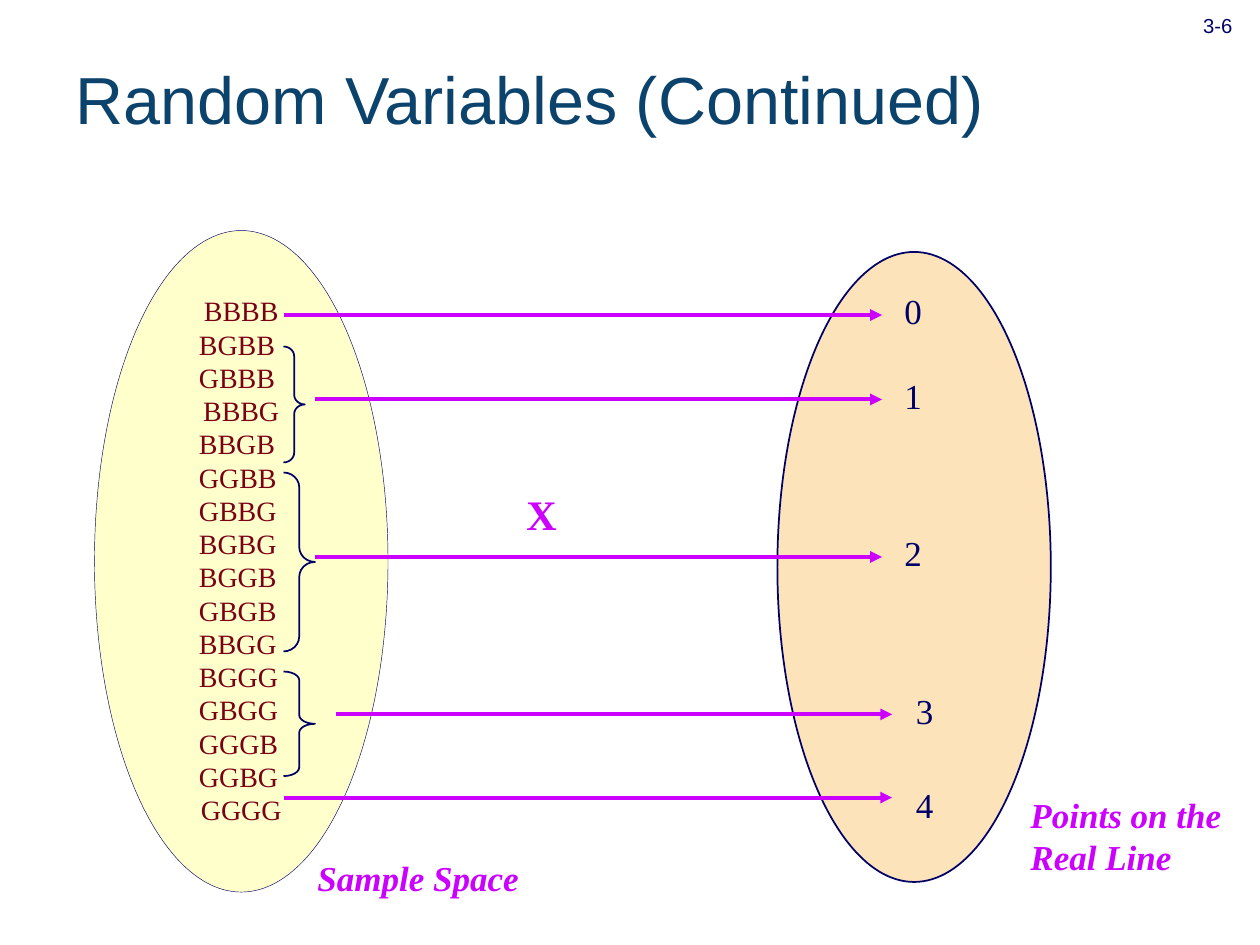
from lxml import etree
from pptx import Presentation
from pptx import util as u
from pptx.dml.color import RGBColor
from pptx.enum import shapes, text
from pptx.oxml import ns

COLORS = {
    "title": "0C436C", "navy": "000066", "magenta": "CC00FF",
    "maroon": "790015", "cream": "FFFFCC", "peach": "FDE3BA",
}
SERIF, SANS = "Times New Roman", "Arial"

deck = Presentation()
deck.slide_width, deck.slide_height = u.Inches(10), u.Inches(7.5)
page = deck.slides.add_slide(deck.slide_layouts[6])


def write(para, words, color, **formats):
    span = para.add_run()
    span.text = words
    span.font.color.rgb = RGBColor.from_string(COLORS[color])
    for name, value in formats.items():
        setattr(span.font, name, value)
    return span


def add_outlined(kind, place, line_width, fill=None):
    shape = page.shapes.add_shape(kind, *map(u.Inches, place))
    shape.shadow.inherit = False
    shape.line.color.rgb = RGBColor.from_string(COLORS["navy"])
    shape.line.width = u.Pt(line_width)
    if fill:
        shape.fill.solid()
        shape.fill.fore_color.rgb = RGBColor.from_string(COLORS[fill])
    else:
        shape.fill.background()
    return shape


# Sample space and real line ovals
oval = shapes.MSO_SHAPE.OVAL
sample_space = add_outlined(oval, (0.75, 1.83, 2.33, 5.25), 0.25, "cream")
add_outlined(oval, (6.17, 2, 2.17, 5), 1, "peach")

# Outcomes: three are centred, the rest share a left edge
outcomes = ("BBBB BGBB GBBB BBBG BBGB GGBB GBBG BGBG "
            "BGGB GBGB BBGG BGGG GBGG GGGB GGBG GGGG").split()
frame = sample_space.text_frame
frame.word_wrap = True
frame.vertical_anchor = text.MSO_ANCHOR.MIDDLE
for index, outcome in enumerate(outcomes):
    para = frame.paragraphs[0] if index == 0 else frame.add_paragraph()
    para.line_spacing = 0.99
    if outcome in ("BBBB", "BBBG", "GGGG"):
        para.alignment = text.PP_ALIGN.CENTER
    else:
        para.alignment = text.PP_ALIGN.LEFT
        para._p.get_or_add_pPr().set("marL", str(u.Inches(0.39)))
    write(para, outcome, "maroon", size=u.Pt(16), name=SERIF)

# Braces group the outcomes that share a value: top, width, height
for top, width, height in [(2.75, 0.17, 0.92), (3.75, 0.25, 1.42), (5.33, 0.25, 0.83)]:
    brace = add_outlined(shapes.MSO_SHAPE.RIGHT_BRACE, (2.25, top, width, height), 1)
    brace.adjustments[0] = height / 12 / width

# Mapping arrows: start x, end x, y
for start, end, y in [(2.25, 7, 2.5), (2.5, 7, 3.17), (2.5, 7, 4.42),
                      (2.67, 7.08, 5.67), (2.25, 7.08, 6.33)]:
    arrow = page.shapes.add_connector(
        shapes.MSO_CONNECTOR.STRAIGHT, *map(u.Inches, (start, y, end, y)))
    arrow.line.color.rgb = RGBColor.from_string(COLORS["magenta"])
    arrow.line.width = u.Pt(2.25)
    head = etree.SubElement(arrow.line._get_or_add_ln(), ns.qn("a:tailEnd"))
    head.set("type", "triangle")
    etree.SubElement(arrow._element.spPr, ns.qn("a:effectLst"))

# Title, values and labels: words, place, color, font formats
value = {"size": u.Pt(20), "name": SERIF}
label = {**value, "bold": True, "italic": True}
texts = [
    ("Random Variables (Continued)", (0.5, 0.15, 9.27, 1.25), "title",
     {"size": u.Pt(38), "name": SANS}),
    ("0", (7.08, 2.25, 0.67, 0.44), "navy", value),
    ("1", (7.08, 2.92, 0.5, 0.44), "navy", value),
    ("2", (7.08, 4.17, 0.5, 0.44), "navy", value),
    ("3", (7.17, 5.42, 0.42, 0.44), "navy", value),
    ("4", (7.17, 6.17, 0.42, 0.44), "navy", value),
    ("X", (4.08, 3.83, 0.75, 0.5), "magenta",
     {"size": u.Pt(24), "name": SERIF, "bold": True}),
    ("Sample Space", (2.42, 6.75, 1.83, 0.44), "magenta", label),
    ("Points on the Real Line", (8.08, 6.25, 1.92, 0.77), "magenta", label),
    ("3-6", (9.29, -0.13, 0.75, 0.48), "navy", {"size": u.Pt(20), "name": SANS}),
]
for words, place, color, formats in texts:
    box = page.shapes.add_textbox(*map(u.Inches, place))
    box.text_frame.word_wrap = True
    para = box.text_frame.paragraphs[0]
    span = write(para, words, color, **formats)
    if color == "title":
        box.text_frame.vertical_anchor = text.MSO_ANCHOR.MIDDLE
    if words == "3-6":  # the page number is set as a subscript
        para.alignment = text.PP_ALIGN.CENTER
        span.font._element.set("baseline", "-25000")

deck.save("out.pptx")
